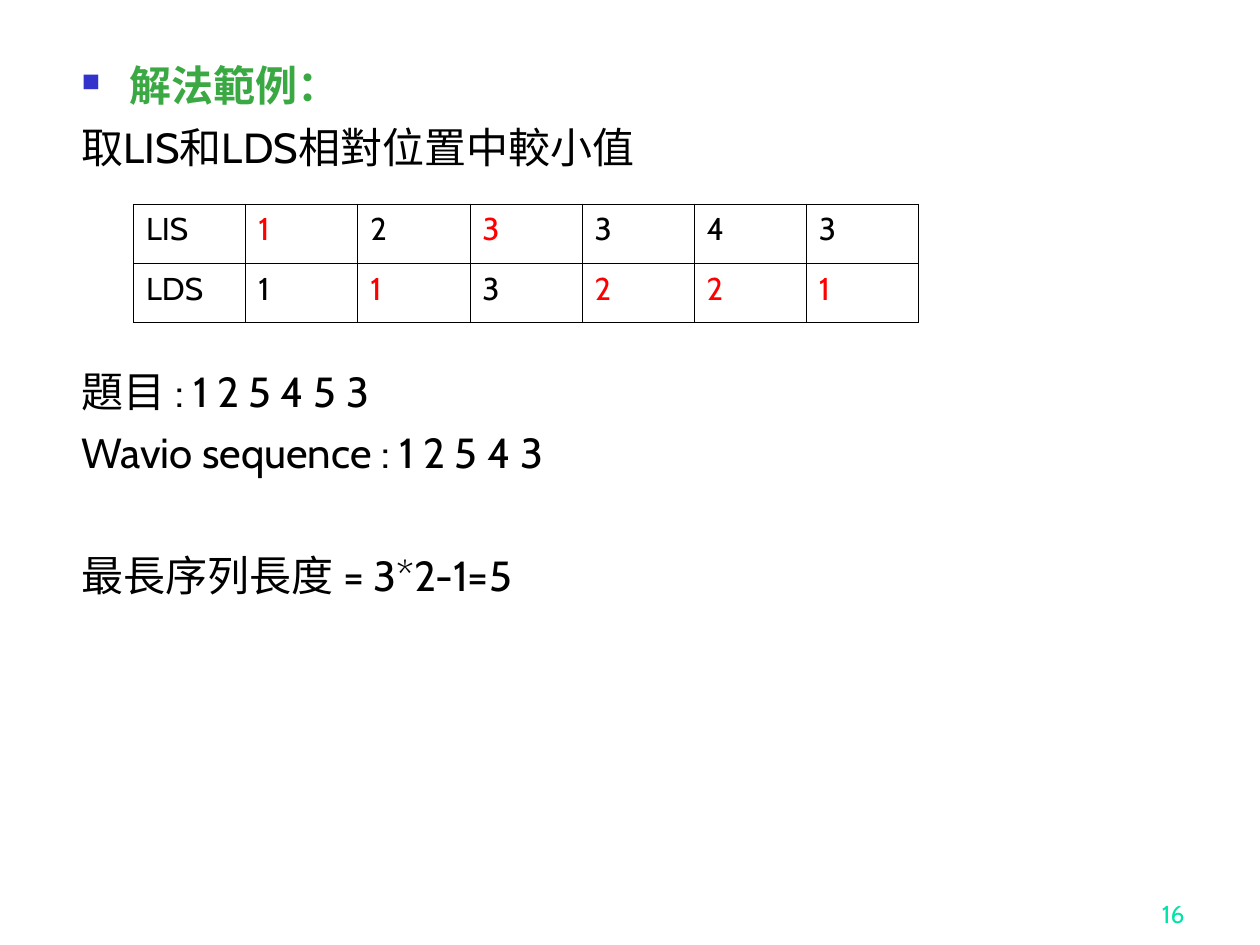
from lxml.etree import SubElement
from pptx import Presentation
from pptx.dml.color import RGBColor
from pptx.enum.text import MSO_ANCHOR, PP_ALIGN
from pptx.oxml.ns import qn
from pptx.util import Inches, Pt

BLACK, RED, GREEN, BLUE, MINT = "000000", "FF0000", "3BA943", "3333CC", "00E4A8"


def color(hex_string):
    return RGBColor.from_string(hex_string)


def write(paragraph, text, size=24, font="Cabin", fill=BLACK, bold=False,
          align=None, before=None, spacing=None):
    if align is not None:
        paragraph.alignment = align
    if before is not None:
        paragraph.space_before = Pt(before)
    if spacing is not None:
        paragraph.line_spacing = spacing
    run = paragraph.add_run()
    run.text = text
    run.font.name = font
    run.font.size = Pt(size)
    run.font.bold = bold
    run.font.color.rgb = color(fill)


class SlideBuilder:
    hanging = Inches(0.38)
    border = Pt(0.45)

    def __init__(self, slide):
        self.slide = slide

    def text_box(self, left, top, width, height, anchor=MSO_ANCHOR.TOP):
        box = self.slide.shapes.add_textbox(
            Inches(left), Inches(top), Inches(width), Inches(height))
        frame = box.text_frame
        frame.word_wrap = True
        frame.vertical_anchor = anchor
        return frame

    def hang(self, paragraph, bullet=None):
        props = paragraph._p.get_or_add_pPr()
        props.set("marL", str(self.hanging))
        props.set("indent", str(-self.hanging))
        if bullet is None:
            SubElement(props, qn("a:buNone"))
            return
        bullet_color = SubElement(props, qn("a:buClr"))
        SubElement(bullet_color, qn("a:srgbClr"), val=BLUE)
        SubElement(props, qn("a:buSzPct"), val="60000")
        SubElement(props, qn("a:buChar"), char=bullet)

    def outline(self, cell):
        props = cell._tc.get_or_add_tcPr()
        for side in ("lnL", "lnR", "lnT", "lnB"):
            line = SubElement(props, qn(f"a:{side}"), w=str(self.border))
            solid = SubElement(line, qn("a:solidFill"))
            SubElement(solid, qn("a:srgbClr"), val=BLACK)

    def table(self, left, top, column_width, row_height, rows, is_marked):
        row_count, column_count = len(rows), len(rows[0])
        table = self.slide.shapes.add_table(
            row_count, column_count, Inches(left), Inches(top),
            Inches(column_width * column_count),
            Inches(row_height * row_count)).table
        table.first_row = table.horz_banding = False
        for column in table.columns:
            column.width = Inches(column_width)
        for r, values in enumerate(rows):
            table.rows[r].height = Inches(row_height)
            for c, value in enumerate(values):
                cell = table.cell(r, c)
                self.outline(cell)
                cell.fill.background()
                write(cell.text_frame.paragraphs[0], str(value), size=18,
                      fill=RED if is_marked(r, c) else BLACK)


def main():
    deck = Presentation()
    deck.slide_width, deck.slide_height = Inches(10), Inches(7.5)
    builder = SlideBuilder(deck.slides.add_slide(deck.slide_layouts[6]))

    # Heading and explanation; the wide gaps leave room around the table
    solution = builder.text_box(0.55, 0.47, 8.9, 6.55)
    heading = solution.paragraphs[0]
    builder.hang(heading, bullet="■")
    write(heading, "解法範例：", font="Times New Roman", fill=GREEN, bold=True,
          spacing=0.9)
    for sentence, gap in [
        ("取LIS和LDS相對位置中較小值", 6),
        ("題目 : 1 2 5 4 5 3", 111),
        ("Wavio sequence : 1 2 5 4 3", 6),
        ("最長序列長度 = 3*2-1=5", 41),
    ]:
        step = solution.add_paragraph()
        builder.hang(step)
        write(step, sentence, before=gap)

    # LIS and LDS values, with the smaller of each pair in red (LIS on a tie
    # in the first position)
    lis = ["LIS", 1, 2, 3, 3, 4, 3]
    lds = ["LDS", 1, 1, 3, 2, 2, 1]

    def is_smaller(row, column):
        if column == 0:
            return False
        return (row == 1) == (lds[column] < lis[column])

    builder.table(1.06, 1.62, 0.89, 0.47, [lis, lds], is_smaller)

    # Page number
    page = builder.text_box(7.42, 6.92, 2.08, 0.5, anchor=MSO_ANCHOR.BOTTOM)
    write(page.paragraphs[0], "16", size=14, fill=MINT, align=PP_ALIGN.RIGHT)

    deck.save("out.pptx")


if __name__ == "__main__":
    main()
